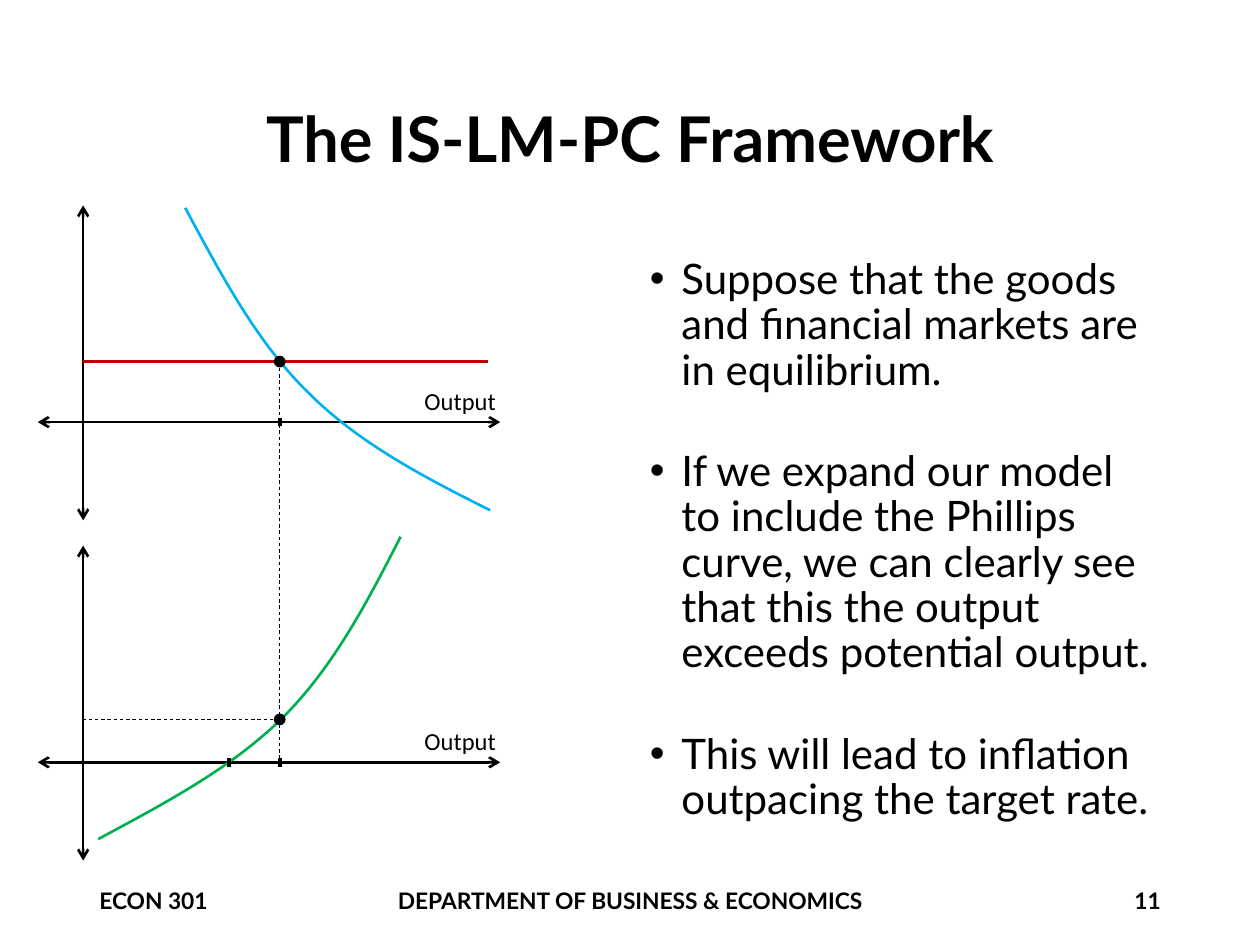
from dataclasses import dataclass

from lxml.etree import SubElement
from pptx import Presentation
from pptx.dml.color import RGBColor
from pptx.enum.dml import MSO_LINE_DASH_STYLE as Dash
from pptx.enum.shapes import MSO_CONNECTOR as Connector, MSO_SHAPE as Preset
from pptx.enum.text import MSO_ANCHOR as Anchor, MSO_AUTO_SIZE as AutoSize, PP_ALIGN as Align
from pptx.oxml.ns import qn
from pptx.util import Inches, Pt

BLACK = RGBColor(0x00, 0x00, 0x00)
RED = RGBColor(0xC0, 0x00, 0x00)
BLUE = RGBColor(0x00, 0xB0, 0xF0)
GREEN = RGBColor(0x00, 0xB0, 0x50)

COLUMNS, ROWS = 100, 75
CELL = Inches(10) // COLUMNS
PANEL_TOPS = (16.3, 43.3)
PANEL_HEIGHT = 25
AXIS_DROP = 17.2
ORIGIN = 6.6
OUTPUT = 22.2
POTENTIAL_OUTPUT = 18.2
INTEREST_RATE = 28.7
INFLATION = 57.1
OUTPUT_AXES = tuple(top + AXIS_DROP for top in PANEL_TOPS)

Point = tuple[float, float]


@dataclass(frozen=True)
class Line:
    """A straight line between two grid points."""
    start: Point
    end: Point
    color: RGBColor = BLACK
    width: float = 1.5
    dashed: bool = False
    arrows: bool = False


@dataclass(frozen=True)
class Curve:
    """A chain of cubic Bezier arcs through grid points."""
    points: tuple[Point, ...]
    color: RGBColor


@dataclass(frozen=True)
class Footer:
    """One text of the footer row."""
    text: str
    column: float
    columns: float
    align: Align


AXES = [line for top, axis in zip(PANEL_TOPS, OUTPUT_AXES) for line in (
    Line((ORIGIN, top), (ORIGIN, top + PANEL_HEIGHT), arrows=True),
    Line((3, axis), (39.7, axis), arrows=True),
)]
RATE_LINE = Line((ORIGIN, INTEREST_RATE), (38.7, INTEREST_RATE), RED)
GUIDES = [
    Line((OUTPUT, INTEREST_RATE), (OUTPUT, OUTPUT_AXES[1]), width=0.5, dashed=True),
    Line((OUTPUT, INFLATION), (ORIGIN, INFLATION), width=0.5, dashed=True),
]
TICKS = [
    Line((column, axis - 0.35), (column, axis + 0.35), width=2.25)
    for column, axis in ((OUTPUT, OUTPUT_AXES[0]), (OUTPUT, OUTPUT_AXES[1]),
                         (POTENTIAL_OUTPUT, OUTPUT_AXES[1]))
]
CURVES = [
    Curve(((14.7, 16.5), (17.6, 21.9), (20.4, 27.2), (24.5, 31.2),
           (28.5, 35.2), (33.7, 37.9), (38.9, 40.5)), BLUE),
    Curve(((7.8, 66.6), (13.2, 63.7), (18.5, 60.9), (22.5, 56.9),
           (26.5, 52.9), (29.2, 47.7), (31.8, 42.6)), GREEN),
]
FOOTERS = [
    Footer("ECON 301", 6.9, 22.5, Align.LEFT),
    Footer("DEPARTMENT OF BUSINESS & ECONOMICS", 18.5, 63, Align.CENTER),
    Footer("11", 70.6, 22.5, Align.RIGHT),
]
POINTS = [
    "Suppose that the goods and financial markets are in equilibrium.",
    "If we expand our model to include the Phillips curve, we can clearly see "
    "that this the output exceeds potential output.",
    "This will lead to inflation outpacing the target rate.",
]


def cells(*counts: float) -> list[int]:
    """Turn counts of grid cells into lengths."""
    return [round(count * CELL) for count in counts]


def add_bullet(para) -> None:
    """Give a paragraph a hanging round bullet."""
    properties = para._p.get_or_add_pPr()
    properties.set("marL", str(Inches(0.25)))
    properties.set("indent", str(-Inches(0.25)))
    SubElement(properties, qn("a:buFont"), typeface="Arial")
    SubElement(properties, qn("a:buChar"), char="•")


def write(box, *texts: str, size: float, font: str = "Lato", bold: bool = False,
          align: Align = Align.LEFT, anchor: Anchor = Anchor.TOP, wrap: bool = True,
          spacing: float = 1.0, gap: float = 0, bullets: bool = False) -> None:
    """Fill a box with one formatted paragraph per text."""
    frame = box.text_frame
    frame.auto_size = AutoSize.NONE if wrap else AutoSize.SHAPE_TO_FIT_TEXT
    frame.word_wrap = wrap
    frame.vertical_anchor = anchor
    for index, text in enumerate(texts):
        para = frame.add_paragraph() if index else frame.paragraphs[0]
        para.alignment = align
        para.line_spacing = spacing
        para.space_before = Pt(gap if index else 0)
        if bullets:
            add_bullet(para)
        span = para.add_run()
        span.text = text
        span.font.name = font
        span.font.size = Pt(size)
        span.font.bold = bold
        span.font.color.rgb = BLACK


def draw_line(slide, line: Line) -> None:
    """Draw a straight connector."""
    connector = slide.shapes.add_connector(Connector.STRAIGHT, *cells(*line.start, *line.end))
    connector.line.color.rgb = line.color
    connector.line.width = Pt(line.width)
    if line.dashed:
        connector.line.dash_style = Dash.DASH
    if line.arrows:
        for end in ("a:headEnd", "a:tailEnd"):
            SubElement(connector.line._get_or_add_ln(), qn(end), type="arrow")
    SubElement(connector._element.spPr, qn("a:effectLst"))


def arc_points(arc: tuple[Point, ...], steps: int = 24) -> list[Point]:
    """Sample a cubic Bezier arc after its start."""
    sampled = []
    for step in range(1, steps + 1):
        t = step / steps
        weights = ((1 - t) ** 3, 3 * t * (1 - t) ** 2, 3 * t ** 2 * (1 - t), t ** 3)
        sampled.append(tuple(sum(w * p[axis] for w, p in zip(weights, arc)) for axis in (0, 1)))
    return sampled


def draw_curve(slide, curve: Curve) -> None:
    """Draw a curve as an open outline."""
    builder = slide.shapes.build_freeform(*cells(*curve.points[0]))
    for start in range(0, len(curve.points) - 1, 3):
        sampled = arc_points(curve.points[start:start + 4])
        builder.add_line_segments([cells(*point) for point in sampled], close=False)
    shape = builder.convert_to_shape()
    shape.shadow.inherit = False
    shape.fill.background()
    shape.line.color.rgb = curve.color
    shape.line.width = Pt(1.5)


def draw_dot(slide, center: Point, size: float = 0.8) -> None:
    """Draw an equilibrium dot."""
    column, row = center
    dot = slide.shapes.add_shape(Preset.OVAL, *cells(column - size / 2, row - size / 2, size, size))
    dot.shadow.inherit = False
    dot.fill.solid()
    dot.fill.fore_color.rgb = BLACK
    dot.line.color.rgb = BLACK
    dot.line.width = Pt(1)


def main() -> None:
    """Build and save the deck."""
    deck = Presentation()
    deck.slide_width, deck.slide_height = cells(COLUMNS, ROWS)
    page = deck.slides.add_slide(deck.slide_layouts[5])
    title = page.shapes.title
    title.left, title.top, title.width, title.height = cells(6.9, 4, 86.2, 14.5)
    write(title, "The IS-LM-PC Framework", size=36, bold=True, align=Align.CENTER,
          anchor=Anchor.MIDDLE, spacing=0.9)
    body = page.shapes.add_textbox(*cells(50.6, 20, 42.5, 47.6))
    write(body, *POINTS, size=24, spacing=0.9, gap=32, bullets=True)
    for footer in FOOTERS:
        box = page.shapes.add_textbox(*cells(footer.column, 69.5, footer.columns, 4))
        write(box, footer.text, size=13, bold=True, align=footer.align, anchor=Anchor.MIDDLE)
    for line in (*AXES, RATE_LINE):
        draw_line(page, line)
    for curve in CURVES:
        draw_curve(page, curve)
    for line in (*GUIDES, *TICKS):
        draw_line(page, line)
    for row in (INTEREST_RATE, INFLATION):
        draw_dot(page, (OUTPUT, row))
    for axis in OUTPUT_AXES:
        label = page.shapes.add_textbox(*cells(32.7, axis - 3.35, 7.8, 3.4))
        write(label, "Output", size=14, font="Calibri", wrap=False)
    deck.save("out.pptx")


if __name__ == "__main__":
    main()
